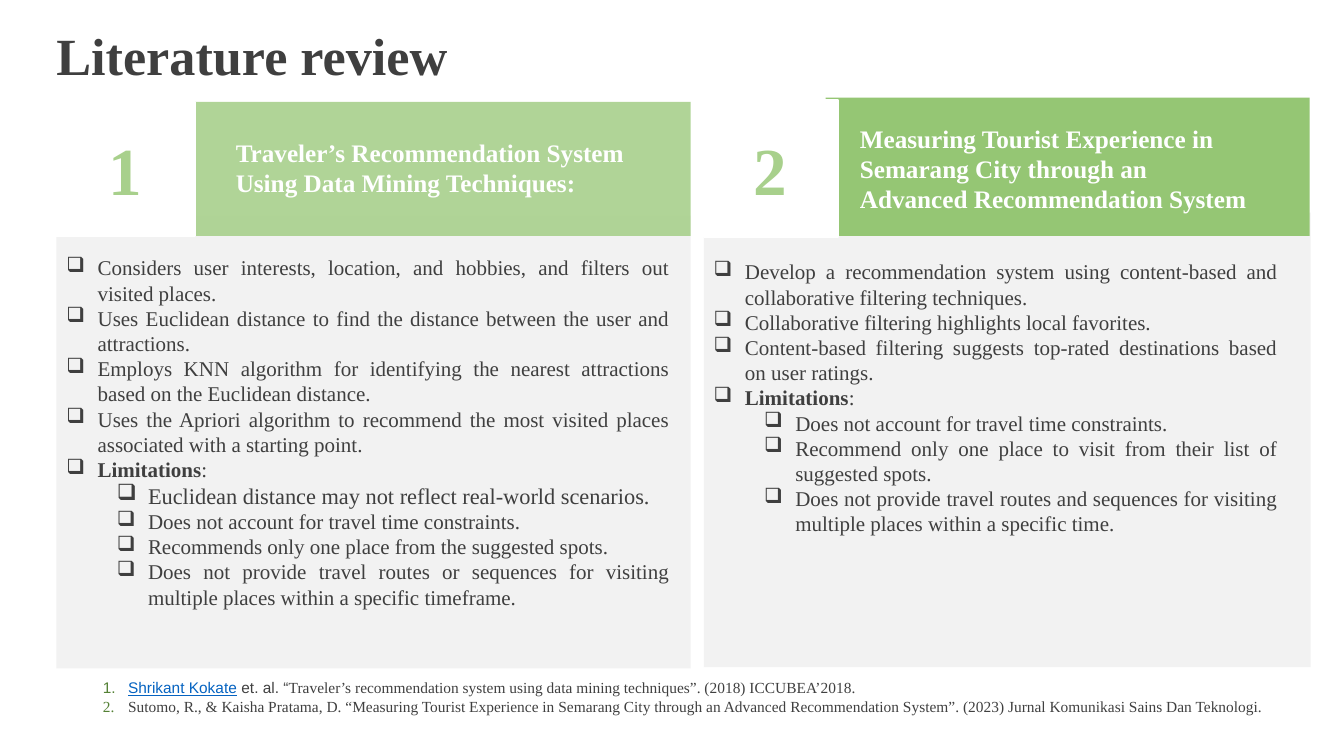
"""Build the literature review slide comparing two papers."""
from lxml.etree import SubElement
from pptx import Presentation
from pptx.dml.color import RGBColor
from pptx.enum.shapes import MSO_SHAPE as Shape
from pptx.enum.text import MSO_ANCHOR as Anchor, MSO_AUTO_SIZE as AutoSize, PP_ALIGN as Align
from pptx.oxml.ns import qn
from pptx.util import Pt

PX = 9144
SERIF, SANS = "Times New Roman", "Arial"
DARK, GREEN, WHITE, GREY = "3F3F3F", "A8D08C", "FFFFFF", "F2F2F2"
hue = RGBColor.from_string


def style_run(span, size, color, bold=False, font=SERIF):
    span.font.size = Pt(size)
    span.font.name = font
    span.font.bold = bold
    span.font.color.rgb = hue(color)


def set_bullet(para, left, hanging, color, tag, **mark):
    props = para._p.get_or_add_pPr()
    props.set("marL", str(left * PX))
    props.set("indent", str(-hanging * PX))
    SubElement(SubElement(props, qn("a:buClr")), qn("a:srgbClr"), val=color)
    SubElement(props, qn(tag), **mark)


deck = Presentation()
deck.slide_width, deck.slide_height = 1333 * PX, 750 * PX
page = deck.slides.add_slide(deck.slide_layouts[5])

title = page.shapes.title
title.left, title.top, title.width, title.height = [v * PX for v in (56, 28, 1220, 60)]
frame = title.text_frame
frame.text = "Literature review"
frame.auto_size = AutoSize.NONE
frame.vertical_anchor = Anchor.MIDDLE
frame.margin_left = frame.margin_top = frame.margin_right = frame.margin_bottom = 0
frame.paragraphs[0].alignment = Align.LEFT
frame.paragraphs[0].line_spacing = 0.9
style_run(frame.paragraphs[0].runs[0], 37.3, DARK, True)

LIMITS = "Limitations"
papers = [
    {
        "panel": (56, 214, 629, 449),
        "header": (192, 101, 493, 133),
        "header_fill": GREEN,
        "alpha": "90000",
        "badge": (56, 101, 137, 133),
        "heading_box": (224, 131, 416, 101),
        "heading": "Traveler’s Recommendation System Using Data Mining Techniques:",
        "points_box": (56, 248, 618, 370),
        "points": [
            (0, 15, "Considers user interests, location, and hobbies, and filters out visited places."),
            (0, 15, "Uses Euclidean distance to find the distance between the user and attractions."),
            (0, 15, "Employs KNN algorithm for identifying the nearest attractions based on the Euclidean distance."),
            (0, 15, "Uses the Apriori algorithm to recommend the most visited places associated with a starting point."),
            (0, 15, LIMITS),
            (1, 16, "Euclidean distance may not reflect real-world scenarios."),
            (1, 15, "Does not account for travel time constraints."),
            (1, 15, "Recommends only one place from the suggested spots."),
            (1, 15, "Does not provide travel routes or sequences for visiting multiple places within a specific timeframe."),
        ],
    },
    {
        "panel": (698, 211, 602, 451),
        "header": (819, 97, 480, 137),
        "header_fill": "95C674",
        "alpha": "100000",
        "badge": (698, 99, 133, 136),
        "heading_box": (843, 117, 407, 101),
        "heading": "Measuring Tourist Experience in\n"
                   "Semarang City through an\vAdvanced Recommendation System",
        "points_box": (698, 252, 579, 364),
        "points": [
            (0, 15, "Develop a recommendation system using content-based and collaborative filtering techniques."),
            (0, 15, "Collaborative filtering highlights local favorites."),
            (0, 15, "Content-based filtering suggests top-rated destinations based on user ratings."),
            (0, 15, LIMITS),
            (1, 15, "Does not account for travel time constraints."),
            (1, 15, "Recommend only one place to visit from their list of suggested spots."),
            (1, 15, "Does not provide travel routes and sequences for visiting multiple places within a specific time."),
        ],
    },
]

for number, paper in enumerate(papers, 1):
    fills = {"panel": GREY, "header": paper["header_fill"], "badge": WHITE}
    blocks = {}
    for part, fill in fills.items():
        block = page.shapes.add_shape(Shape.RECTANGLE, *[v * PX for v in paper[part]])
        block.shadow.inherit = False
        block.fill.solid()
        block.fill.fore_color.rgb = hue(fill)
        block.line.fill.background()
        blocks[part] = block
    header_color = blocks["header"]._element.spPr.find(qn("a:solidFill"))[0]
    SubElement(header_color, qn("a:alpha"), val=paper["alpha"])

    badge = blocks["badge"]
    badge.line.color.rgb = hue(WHITE)
    badge.line.width = Pt(1.5)
    badge.text_frame.text = str(number)
    badge.text_frame.vertical_anchor = Anchor.MIDDLE
    badge.text_frame.paragraphs[0].alignment = Align.CENTER
    style_run(badge.text_frame.paragraphs[0].runs[0], 48, GREEN, True)

    frame = page.shapes.add_textbox(*[v * PX for v in paper["heading_box"]]).text_frame
    frame.word_wrap = True
    frame.text = paper["heading"]
    for para in frame.paragraphs:
        for span in para.runs:
            style_run(span, 18, WHITE, True)

    frame = page.shapes.add_textbox(*[v * PX for v in paper["points_box"]]).text_frame
    frame.word_wrap = True
    for index, (level, size, text) in enumerate(paper["points"]):
        para = frame.add_paragraph() if index else frame.paragraphs[0]
        para.text = text
        para.level = level
        para.alignment = Align.JUSTIFY
        set_bullet(para, 31 + 50 * level, 31, DARK, "a:buChar", char="❑")
        style_run(para.runs[0], size, DARK, text == LIMITS)
        if text == LIMITS:
            colon = para.add_run()
            colon.text = ":"
            style_run(colon, size, DARK)

references = [
    [
        ("Shrikant Kokate", SANS, "0563C1"),
        (" et. al. “", SANS, "404040"),
        ("Traveler’s recommendation system using data mining techniques”. (2018) ICCUBEA’2018.", SERIF, "404040"),
    ],
    [
        ("Sutomo, R., & Kaisha Pratama, D. “Measuring Tourist Experience in Semarang City through an "
         "Advanced Recommendation System”. (2023) Jurnal Komunikasi Sains Dan Teknologi.", SERIF, "404040"),
    ],
]
frame = page.shapes.add_textbox(*[v * PX for v in (102, 673, 1197, 37)]).text_frame
frame.word_wrap = True
frame.vertical_anchor = Anchor.MIDDLE
frame.margin_left = frame.margin_top = frame.margin_bottom = 0
for index, reference in enumerate(references):
    para = frame.add_paragraph() if index else frame.paragraphs[0]
    set_bullet(para, 25, 25, "548135", "a:buAutoNum", type="arabicPeriod")
    for text, font, color in reference:
        span = para.add_run()
        span.text = text
        style_run(span, 11, color, font=font)
frame.paragraphs[0].runs[0].font.underline = True

deck.save("out.pptx")
